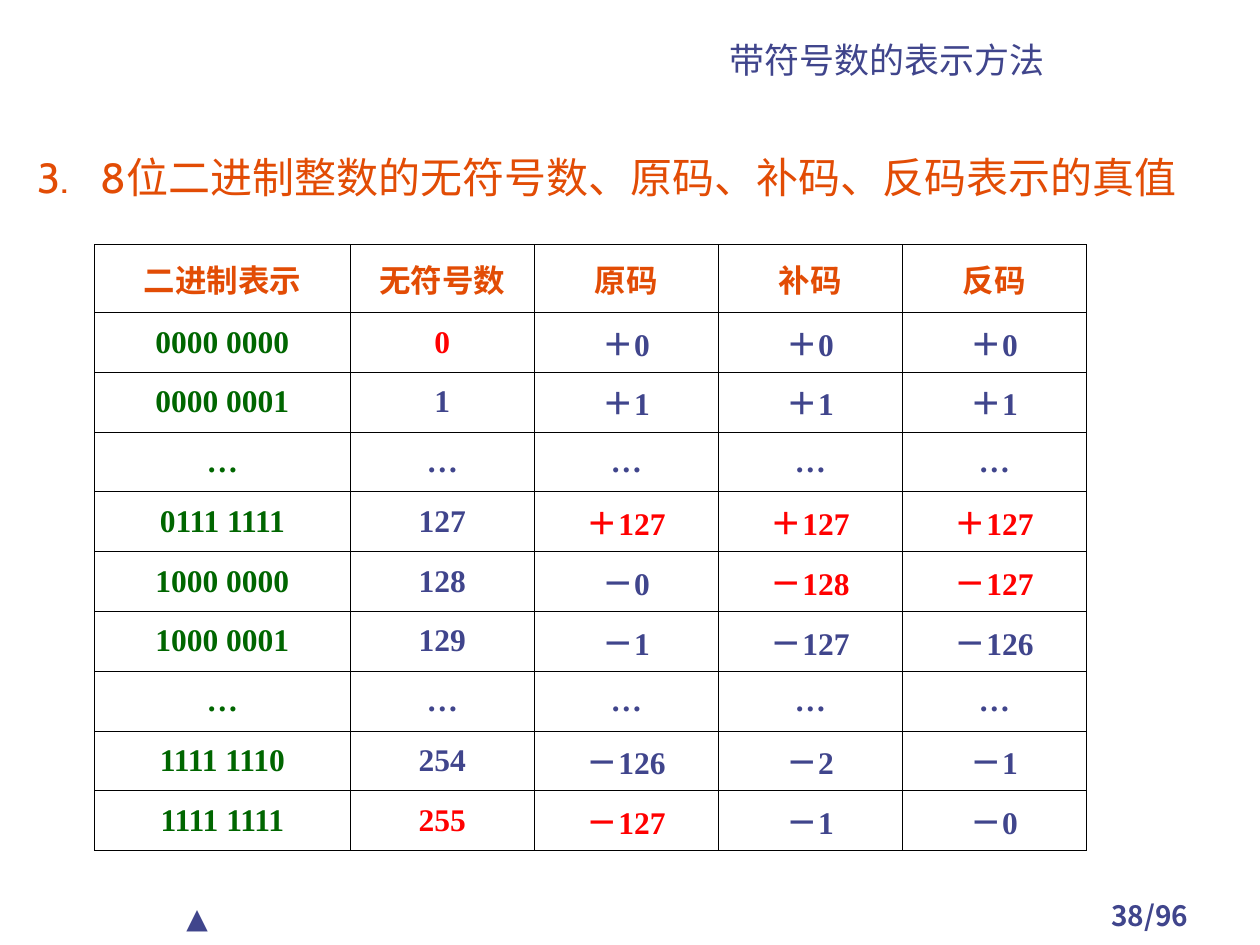
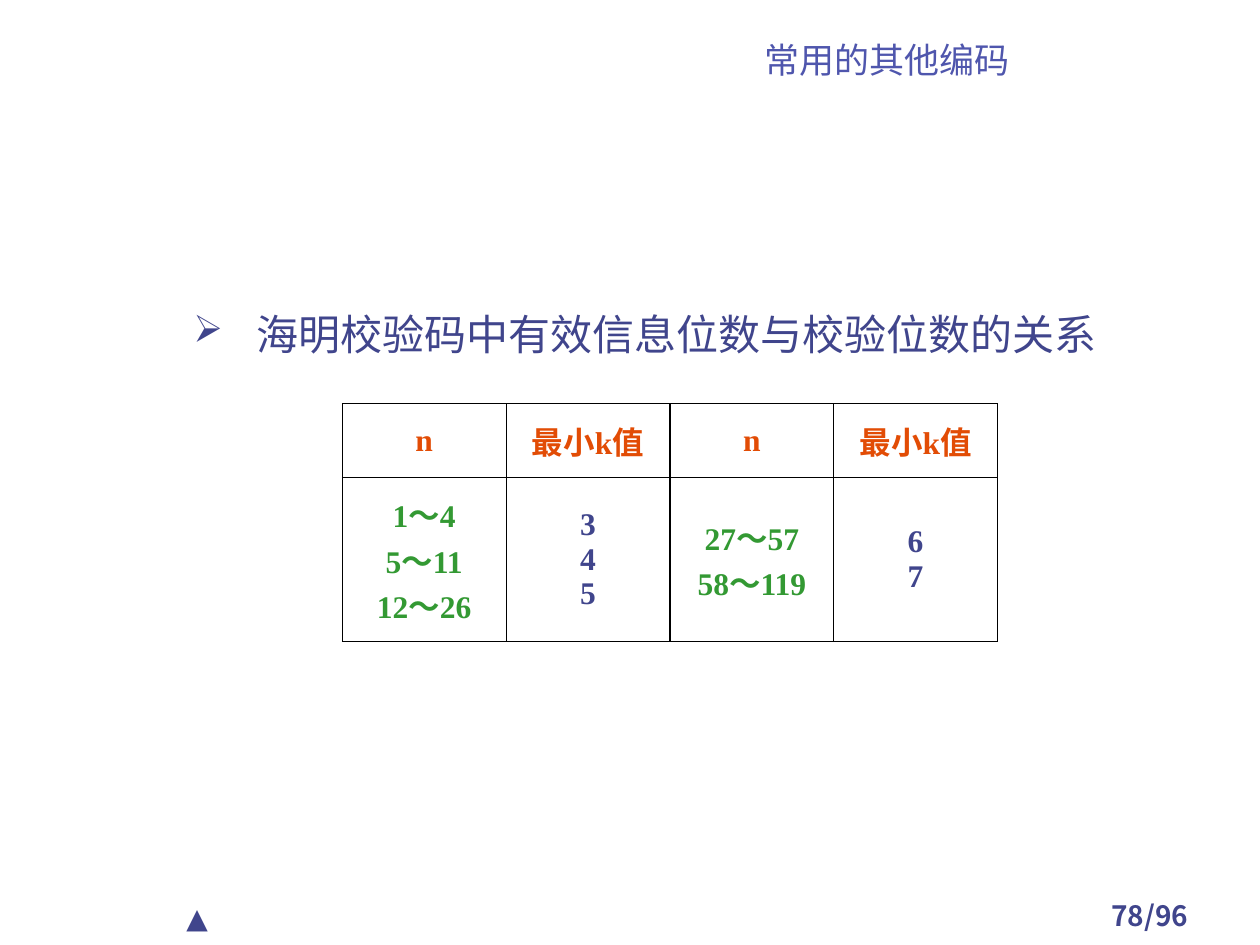
from dataclasses import dataclass

from lxml import etree
from pptx import Presentation
from pptx.dml.color import RGBColor
from pptx.enum.text import MSO_ANCHOR, PP_ALIGN
from pptx.oxml.ns import qn
from pptx.util import Pt

LEFT, CENTER = PP_ALIGN.LEFT, PP_ALIGN.CENTER
TOP, MIDDLE, BOTTOM = MSO_ANCHOR.TOP, MSO_ANCHOR.MIDDLE, MSO_ANCHOR.BOTTOM


@dataclass(frozen=True)
class Theme:
    navy: str = "40458C"
    violet: str = "4F56AD"
    orange: str = "E24C05"
    dark_green: str = "006600"
    green: str = "339933"
    red: str = "FF0000"
    black: str = "000000"
    body_font: str = "Cabin"
    chinese_font: str = "Noto Sans CJK SC"
    table_font: str = "Times New Roman"
    title_size: int = 20
    heading_size: int = 24
    table_size: int = 18
    footer_size: int = 16
    thin_line: float = 0.45
    thick_line: float = 0.96


theme = Theme()


def write_text(target, text, box=None, size=theme.heading_size, color=theme.navy,
               font=theme.body_font, asian_font=None, bold=False, align=LEFT,
               anchor=TOP, line_spacing=None, margin=0, hanging=0, bullet=None):
    """Write text into a text frame, or into a new box on a slide."""
    frame = target
    if box:
        frame = target.shapes.add_textbox(*[Pt(length) for length in box]).text_frame
        frame.word_wrap = True
        frame.vertical_anchor = anchor
    frame.text = text
    for paragraph in frame.paragraphs:
        paragraph.alignment = align
        if line_spacing:
            paragraph.line_spacing = line_spacing
        if bullet:
            properties = paragraph._p.get_or_add_pPr()
            properties.set("marL", str(Pt(margin)))
            properties.set("indent", str(Pt(-hanging)))
            bullet_color = etree.SubElement(properties, qn("a:buClr"))
            etree.SubElement(bullet_color, qn("a:srgbClr"), val=color)
            for tag, attributes in bullet:
                etree.SubElement(properties, qn(tag), **attributes)
        for run in paragraph.runs:
            run.font.size = Pt(size)
            run.font.bold = bold
            run.font.name = font
            run.font.color.rgb = RGBColor.from_string(color)
            asian = etree.SubElement(run._r.get_or_add_rPr(), qn("a:ea"))
            asian.set("typeface", asian_font or font)


def add_grid(slide, left, top, widths, heights, rows, body_colors,
             red_cells=(), thick_after=None):
    """Add a ruled table with an orange header row."""
    table = slide.shapes.add_table(len(rows), len(widths), Pt(left), Pt(top),
                                   Pt(sum(widths)), Pt(sum(heights))).table
    table.first_row = table.horz_banding = False
    for column, width in zip(table.columns, widths):
        column.width = Pt(width)
    for row, height in zip(table.rows, heights):
        row.height = Pt(height)
    for row_index, values in enumerate(rows):
        for column_index, value in enumerate(values):
            cell = table.cell(row_index, column_index)
            cell.vertical_anchor = MIDDLE
            color = theme.orange if row_index == 0 else body_colors[column_index]
            if (row_index, column_index) in red_cells:
                color = theme.red
            write_text(cell.text_frame, value, size=theme.table_size, color=color,
                       font=theme.table_font, asian_font=theme.chinese_font,
                       bold=True, align=CENTER)
            # Cell borders
            thick_sides = []
            if thick_after is not None:
                thick_sides = [side for side, index in
                               (("R", thick_after), ("L", thick_after + 1))
                               if index == column_index]
            for side in "LRTB":
                width = theme.thick_line if side in thick_sides else theme.thin_line
                line = etree.SubElement(cell._tc.get_or_add_tcPr(),
                                        qn(f"a:ln{side}"), w=str(Pt(width)))
                fill = etree.SubElement(line, qn("a:solidFill"))
                etree.SubElement(fill, qn("a:srgbClr"), val=theme.black)
            cell.fill.background()


presentation = Presentation()
presentation.slide_width, presentation.slide_height = Pt(720), Pt(540)
blank_layout = presentation.slide_layouts[6]

# Footers and titles on both slides
slides = []
for title, title_color, title_font, page in (
    ("带符号数的表示方法", theme.navy, theme.chinese_font, "38/96"),
    ("常用的其他编码", theme.violet, theme.body_font, "78/96"),
):
    slide = presentation.slides.add_slide(blank_layout)
    write_text(slide, page, box=(606, 510, 102, 24), size=theme.footer_size,
               font=theme.chinese_font, bold=True, align=CENTER)
    write_text(slide, "▲", box=(99.5, 511, 102, 27), size=theme.footer_size)
    write_text(slide, title, box=(306, 19.5, 402, 30), size=theme.title_size,
               color=title_color, font=title_font, align=CENTER, anchor=BOTTOM)
    slides.append(slide)
signed_slide, hamming_slide = slides

# Signed numbers: table of true values
add_grid(
    signed_slide, 54, 139.7, [146.2] + [105.15] * 4, [38.9] + [34.17] * 9,
    [
        ("二进制表示", "无符号数", "原码", "补码", "反码"),
        ("0000 0000", "0", "＋0", "＋0", "＋0"),
        ("0000 0001", "1", "＋1", "＋1", "＋1"),
        ("…",) * 5,
        ("0111 1111", "127", "＋127", "＋127", "＋127"),
        ("1000 0000", "128", "－0", "－128", "－127"),
        ("1000 0001", "129", "－1", "－127", "－126"),
        ("…",) * 5,
        ("1111 1110", "254", "－126", "－2", "－1"),
        ("1111 1111", "255", "－127", "－1", "－0"),
    ],
    [theme.dark_green] + [theme.navy] * 4,
    red_cells={(1, 1), (4, 2), (4, 3), (4, 4), (5, 3), (5, 4), (9, 1), (9, 2)},
)

# Signed numbers: numbered heading
write_text(signed_slide, "8位二进制整数的无符号数、原码、补码、反码表示的真值",
           box=(14.5, 83, 705, 36), color=theme.orange, margin=36, hanging=36,
           bullet=[("a:buFont", {"typeface": theme.body_font}),
                   ("a:buAutoNum", {"type": "arabicPeriod", "startAt": "3"})])

# Hamming code: bulleted heading
write_text(hamming_slide, "海明校验码中有效信息位数与校验位数的关系",
           box=(54, 170, 612, 332), line_spacing=1.1, margin=85.5, hanging=36,
           bullet=[("a:buSzPct", {"val": "90000"}), ("a:buChar", {"char": "➢"})])

# Hamming code: data bits and check bits
add_grid(
    hamming_slide, 195.6, 230.5, [93.6] * 4, [42.3, 93.7],
    [
        ("n", "最小k值") * 2,
        ("1～4\n5～11\n12～26", "3\n4\n5", "27～57\n58～119", "6\n7"),
    ],
    [theme.green, theme.navy] * 2,
    thick_after=1,
)

presentation.save("out.pptx")
